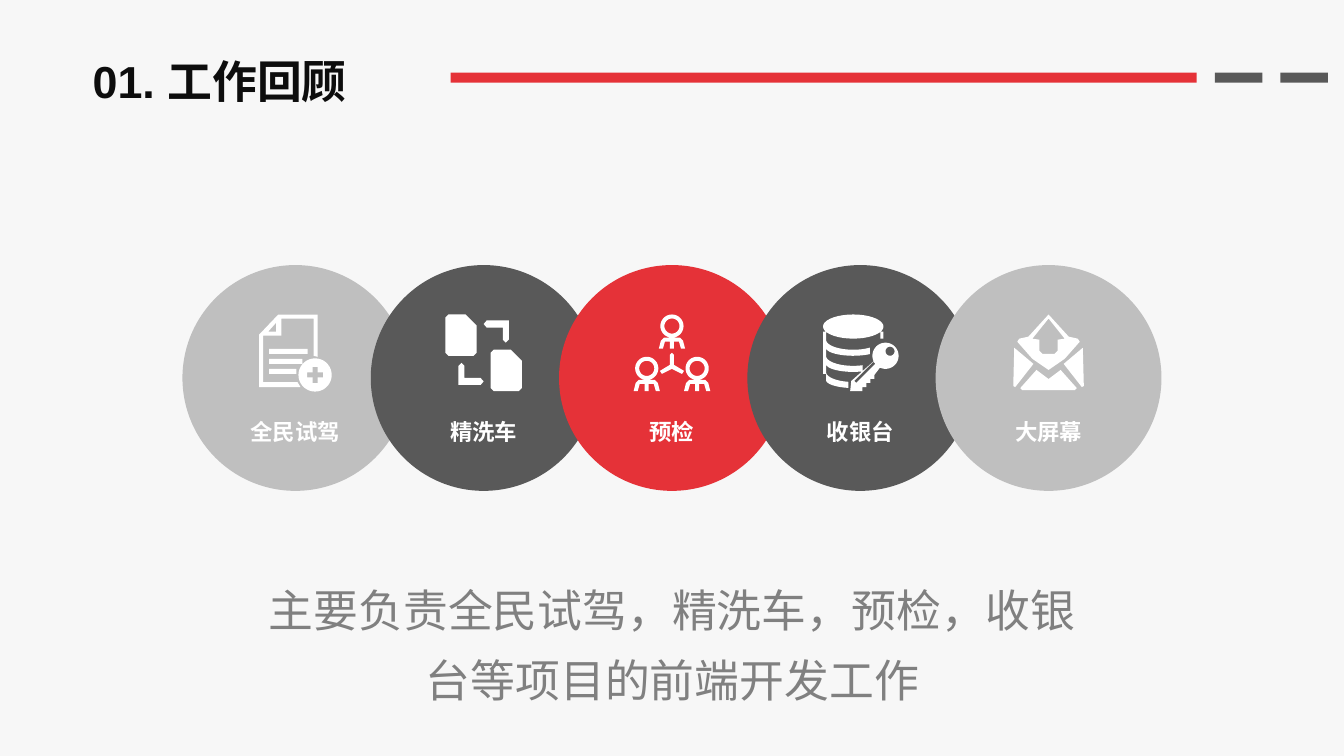
from math import cos, radians, sin

from pptx import Presentation
from pptx.dml.color import RGBColor
from pptx.enum.shapes import MSO_SHAPE as Shape
from pptx.enum.text import PP_ALIGN as Align
from pptx.util import Inches, Pt

PAPER = RGBColor(0xF7, 0xF7, 0xF7)
RED = RGBColor(0xE5, 0x32, 0x38)
DARK = RGBColor(0x59, 0x59, 0x59)
LIGHT = RGBColor(0xBF, 0xBF, 0xBF)
GREY = RGBColor(0x80, 0x80, 0x80)
INK = RGBColor(0x0D, 0x0D, 0x0D)
WHITE = RGBColor(0xFF, 0xFF, 0xFF)

WIDTH, HEIGHT = 13.33, 7.5


# Outline rules: lists of points in hundredths of an inch, measured from
# the icon's top centre. An outline inside another one cuts a hole.
def arc(cx, cy, rx, ry, start=0, end=360, steps=36):
    angles = [radians(start + (end - start) * i / steps) for i in range(steps + 1)]
    return [(cx + rx * cos(a), cy + ry * sin(a)) for a in angles]


def disc(cx, cy, radius):
    return arc(cx, cy, radius, radius)


def bar(left, top, width, height):
    right, bottom = left + width, top + height
    return [(left, top), (right, top), (right, bottom), (left, bottom)]


def shift(outline, dx, dy):
    return [(x + dx, y + dy) for x, y in outline]


def mirror(outline):
    return [(-x, y) for x, y in outline]


def half_turn(outline, cy):
    return [(-x, 2 * cy - y) for x, y in outline]


def symmetric(left_half):
    return left_half + mirror(left_half)[::-1]


# Icons: each returns its outlines
def document_icon():
    frame = [(-17, 0), (22, 0), (22, 42), (18, 41), (18, 4), (-14, 4), (-14, 21),
             (-32, 21), (-32, 67), (2, 67), (5, 72), (-36, 72), (-36, 20)]
    fold = [(-19, 8), (-27, 17), (-19, 17)]
    text_lines = [bar(-26, 34 + 10 * i, width, 5) for i, width in enumerate((38, 33, 27))]
    badge_x, badge_y = 19.5, 60
    quarter = [(2.5, -2.5), (2.5, -8), (-2.5, -8)]
    plus = quarter
    for _ in range(3):
        quarter = [(y, -x) for x, y in quarter]
        plus = plus + quarter
    return [frame, fold, *text_lines, disc(badge_x, badge_y, 16.5),
            shift(plus, badge_x, badge_y)]


def transfer_icon():
    page = [(-35, 0), (-18, 0), (-7, 11), (-7, 38), (-10, 41), (-35, 41), (-38, 38), (-38, 3)]
    elbow = [(3, 6), (25, 6), (25, 25), (22, 28), (19, 25), (19, 13), (3, 13), (0, 9.5)]
    return [page, shift(page, 45, 35), elbow, half_turn(elbow, 38)]


def team_icon():
    body = symmetric([(0, 23), (-8, 23), (-11, 26), (-13, 34), (-9, 34), (-7, 27),
                      (-2, 27), (-2, 34)])
    person = [disc(0, 11.5, 11.5), disc(0, 11.5, 7.5), body]
    joint = symmetric([(0, 38), (-2, 40), (-2, 50), (-12, 56), (-10, 59), (0, 54)])
    places = [(0, 0), (-25, 42), (25, 42)]
    return [joint] + [shift(part, dx, dy) for dx, dy in places for part in person]


def database_icon():
    cx, radius = -7, 27
    lid = arc(cx, 12, radius + 3, 12)
    rims = [bar(cx - radius - 3, 17, 3, 42), bar(cx + radius, 17, 3, 7)]
    # Each band is cut off earlier, to leave room for the key
    bands = [arc(cx, 25 + 16 * i, radius, 10, 180, end)
             + arc(cx, 33 + 16 * i, radius, 8, end, 180)
             for i, end in enumerate((52, 70, 100))]
    head = arc(25, 41, 13, 13, 155, 475)
    teeth = [(x, y) for i in range(4) for x, y in ((14 - 4 * i, 60 + 4 * i),
                                                   (14 - 4 * i, 64 + 4 * i))]
    key = head + teeth + [(-10, 76), (-9, 66)]
    slot = [(13, 47), (-6, 66), (-4, 68), (15, 49)]
    return [lid, *rims, *bands, key, slot, disc(29.5, 36.5, 4.5)]


def envelope_icon():
    side = [(-34, 33), (-15, 49), (-33, 72), (-35, 71)]
    bottom = symmetric([(0, 64), (-12, 55), (-28, 73), (-26, 75)])
    letter = symmetric([(0, 0), (-20, 22), (-29, 24), (-31, 27), (-16, 44), (0, 55)])
    opening = symmetric([(0, 4), (-16, 24), (-9, 25), (-9, 36), (-6, 39)])
    return [side, mirror(side), bottom, letter, opening]


TOPICS = [("全民试驾", LIGHT, document_icon), ("精洗车", DARK, transfer_icon),
          ("预检", RED, team_icon), ("收银台", DARK, database_icon),
          ("大屏幕", LIGHT, envelope_icon)]


# Drawing helpers
def paint(sp, color):
    sp.shadow.inherit = False
    sp.fill.solid()
    sp.fill.fore_color.rgb = color
    sp.line.fill.background()


def add_block(s, kind, left, top, width, height, color):
    paint(s.shapes.add_shape(kind, *map(Inches, (left, top, width, height))), color)


def add_text(s, text, left, top, width, height, size, color, bold=False,
             align=Align.CENTER, spacing=None):
    tf = s.shapes.add_textbox(*map(Inches, (left, top, width, height))).text_frame
    tf.word_wrap = True
    p = tf.paragraphs[0]
    p.text = text
    p.alignment, p.line_spacing = align, spacing
    p.font.name, p.font.size, p.font.bold = "Arial", Pt(size), bold
    p.font.color.rgb = color


def add_icon(s, outlines, center, top):
    builder = s.shapes.build_freeform()
    for outline in outlines:
        first, *rest = [(Inches(center + x / 100), Inches(top + y / 100)) for x, y in outline]
        if outline is outlines[0]:
            builder = s.shapes.build_freeform(*first)
        else:
            builder.move_to(*first)
        builder.add_line_segments(rest, close=True)
    paint(builder.convert_to_shape(), WHITE)


# Regions of the slide
def add_header(s, left, top, width):
    add_text(s, "01. 工作回顾", left, top, 5.39, 0.64, 32, INK, True, Align.LEFT)
    bar_top, thickness, gap = top + 0.24, 0.1, 0.18
    right = left + width
    for length, color in ((0.47, DARK), (0.47, DARK), (7.4, RED)):
        add_block(s, Shape.RECTANGLE, right - length, bar_top, length, thickness, color)
        right -= length + gap


def add_topics(s, left, top, width, diameter):
    pitch = (width - diameter) / (len(TOPICS) - 1)
    for i, (label, color, icon) in enumerate(TOPICS):
        x = left + i * pitch
        center = x + diameter / 2
        add_block(s, Shape.OVAL, x, top, diameter, diameter, color)
        add_icon(s, icon(), center, top + 0.49)
        add_text(s, label, center - 0.75, top + 1.47, 1.5, 0.37, 16, WHITE, True)


def add_summary(s, left, top, width, height):
    add_text(s, "主要负责全民试驾，精洗车，预检，收银台等项目的前端开发工作",
             left, top, width, height, 32, GREY, spacing=1.3)


def main():
    prs = Presentation()
    prs.slide_width, prs.slide_height = Inches(WIDTH), Inches(HEIGHT)
    s = prs.slides.add_slide(prs.slide_layouts[6])
    s.background.fill.solid()
    s.background.fill.fore_color.rgb = PAPER
    add_header(s, 0.82, 0.48, 12.35)
    add_topics(s, 1.81, 2.63, 9.71, 2.24)
    add_summary(s, 2.4, 5.57, 8.54, 1.5)
    prs.save("out.pptx")


if __name__ == "__main__":
    main()
